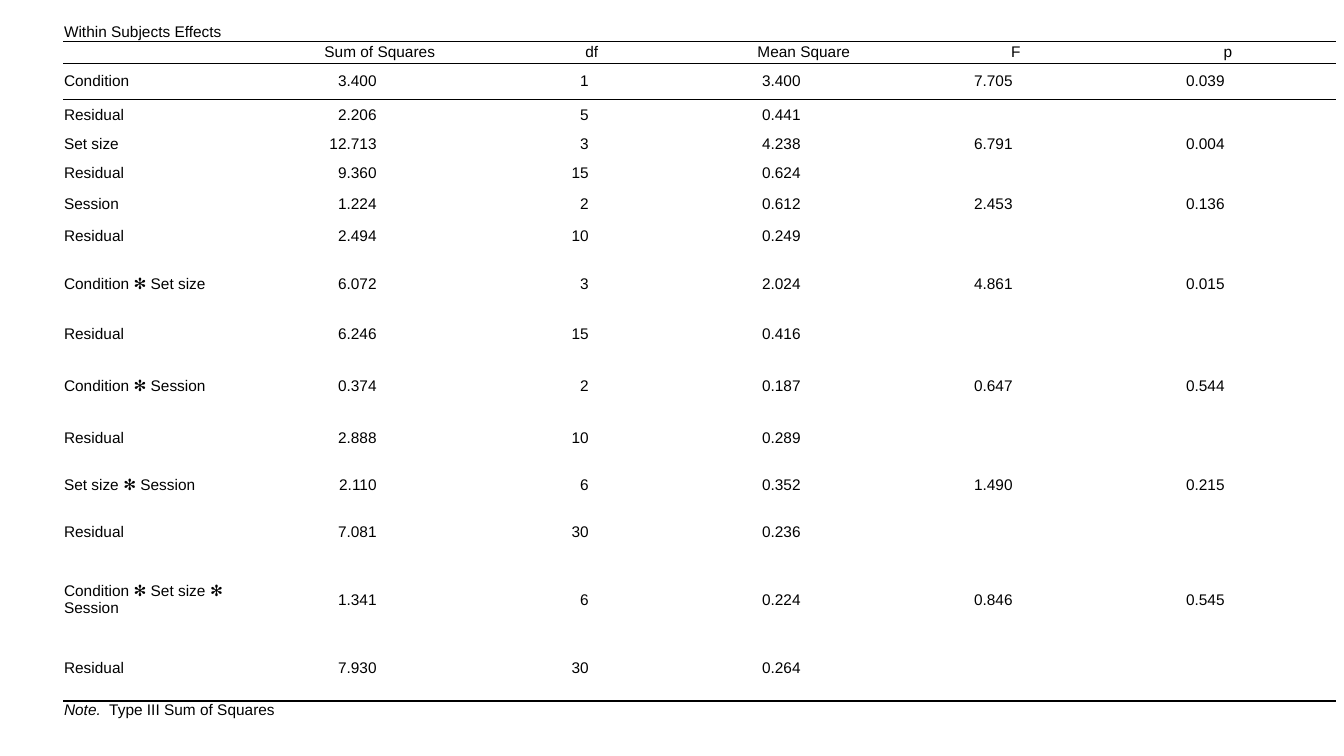
"""Build a slide with a table of within-subjects effects."""
from lxml import etree
from pptx import Presentation, util as u
from pptx.dml.color import RGBColor
from pptx.enum import text
from pptx.oxml import ns

PX = 914400 / 100.8


def px(n):
    return u.Emu(round(n * PX))


def rule(cell, side, width):
    props = cell._tc.get_or_add_tcPr()
    line = etree.SubElement(props, ns.qn("a:ln" + side), w=str(u.Pt(width)))
    fill = etree.SubElement(line, ns.qn("a:solidFill"))
    etree.SubElement(fill, ns.qn("a:srgbClr"), val="000000")


heads = ["", "Sum of Squares", "df", "Mean Square", "F", "p"]
effects = [
    ["Condition", "3.400", "1", "3.400", "7.705", "0.039"],
    ["Residual", "2.206", "5", "0.441"],
    ["Set size", "12.713", "3", "4.238", "6.791", "0.004"],
    ["Residual", "9.360", "15", "0.624"],
    ["Session", "1.224", "2", "0.612", "2.453", "0.136"],
    ["Residual", "2.494", "10", "0.249"],
    ["Condition ✻ Set size", "6.072", "3", "2.024", "4.861", "0.015"],
    ["Residual", "6.246", "15", "0.416"],
    ["Condition ✻ Session", "0.374", "2", "0.187", "0.647", "0.544"],
    ["Residual", "2.888", "10", "0.289"],
    ["Set size ✻ Session", "2.110", "6", "0.352", "1.490", "0.215"],
    ["Residual", "7.081", "30", "0.236"],
    ["Condition ✻ Set size ✻ Session", "1.341", "6", "0.224", "0.846", "0.545"],
    ["Residual", "7.930", "30", "0.264"],
]
rows = [["Within Subjects Effects"], heads, *effects, [], []]
highs = [17, 22, 36, 32, 26, 31, 32, 31, 67, 32, 72, 32, 62, 32, 104, 32, 17, 17]
wides = [207, 4] + [106] * 10
last = len(rows) - 1
rules = {0: {"B": 0.75}, 1: {"T": 0.75, "B": 0.75}, 2: {"T": 0.75},
         last - 1: {"B": 1.5}, last: {"T": 1.5}}

prs = Presentation()
prs.slide_width, prs.slide_height = px(1344), px(756)
slide = prs.slides.add_slide(prs.slide_layouts[6])
frame = slide.shapes.add_table(len(rows), len(wides), px(63), px(24),
                               px(sum(wides)), px(sum(highs)))
table = frame.table
table.first_row = table.horz_banding = False
style = table._tbl.tblPr.find(ns.qn("a:tableStyleId"))
style.text = "{2D5ABB26-0587-4C30-8999-92F81FD0307C}"
for col, wide in zip(table.columns, wides):
    col.width = px(wide)

for r, (row, high) in enumerate(zip(rows, highs)):
    table.rows[r].height = px(high)
    for c in range(len(wides)):
        cell = table.cell(r, c)
        for side, width in rules.get(r, {}).items():
            rule(cell, side, width)
        cell.fill.background()
        cell.margin_left = cell.margin_right = px(1)
        cell.margin_top = cell.margin_bottom = 0
        cell.vertical_anchor = text.MSO_ANCHOR.MIDDLE
        para = cell.text_frame.paragraphs[0]
        para.font.size = u.Pt(11)
        para.font.name = "Arial"
        para.font.color.rgb = RGBColor.from_string("000000")
        if c % 2 == 0 and c // 2 < len(row):
            word = row[c // 2]
            if c:
                word += " "
                para.alignment = text.PP_ALIGN.CENTER if r == 1 else text.PP_ALIGN.RIGHT
            if word:
                para.add_run().text = word

for r in (0, last - 1, last):
    table.cell(r, 0).merge(table.cell(r, len(wides) - 1))
for c in range(0, len(wides), 2):
    table.cell(1, c).merge(table.cell(1, c + 1))

note = table.cell(last, 0).text_frame.paragraphs[0]
for word, slant in (("Note. ", True), (" Type III Sum of Squares", False)):
    run = note.add_run()
    run.text = word
    run.font.italic = slant

prs.save("out.pptx")
